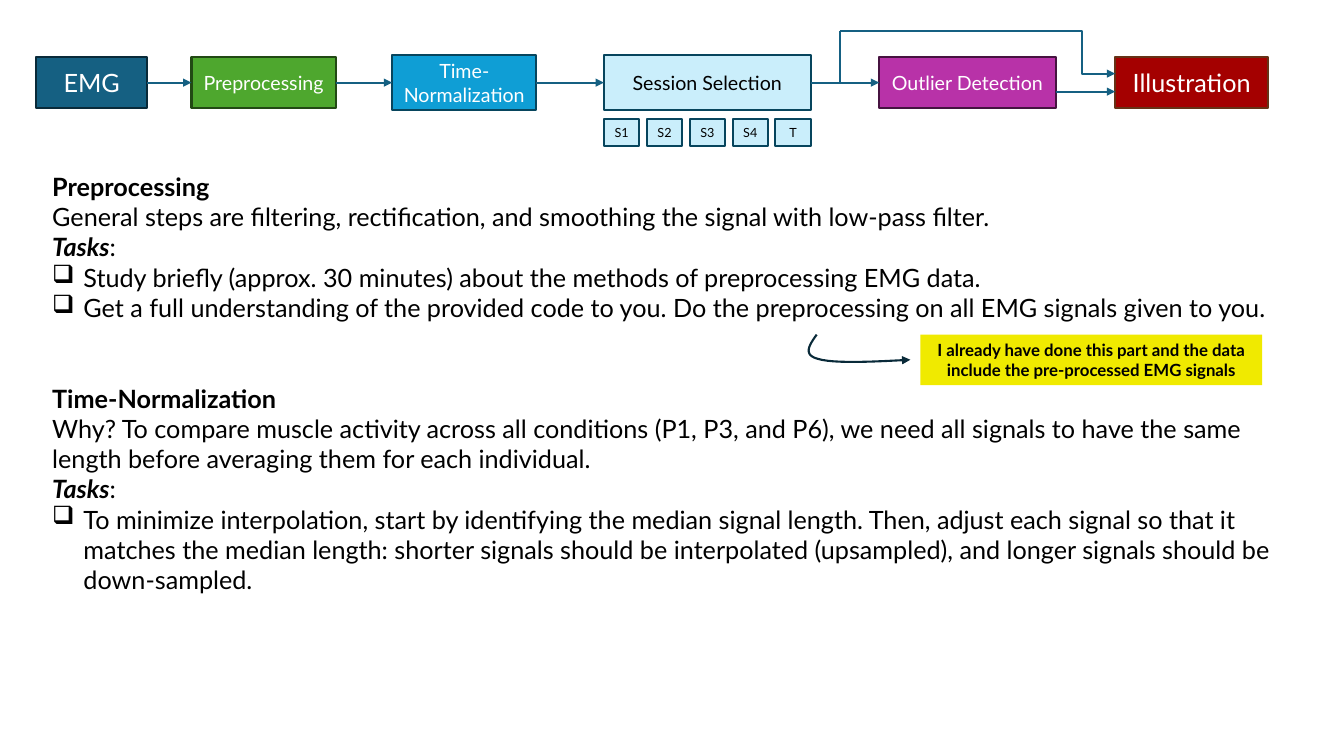
from itertools import pairwise

from lxml.etree import SubElement
from pptx import Presentation
from pptx.dml.color import RGBColor
from pptx.enum.shapes import MSO_CONNECTOR as Connector, MSO_SHAPE as Shape
from pptx.enum.text import MSO_ANCHOR as Anchor, PP_ALIGN as Align
from pptx.oxml.ns import qn
from pptx.util import Inches, Pt

WIDTH, HEIGHT = Inches(13.33), Inches(7.5)
FONT = "Lato"
BLUE, NAVY, PALE = "156082", "07455D", "CAEEFB"
FLOW_MIDDLE = 10.93
SESSION_LEFT, SESSION_PITCH = 44.94, 3.19
STAGES = [
    ("EMG", 2.7, 8.25, 6.67, 18, BLUE, "092A39", "FFFFFF"),
    ("Preprocessing", 14.25, 10.73, 6.67, 14, "4EA72E", "224914", "FFFFFF"),
    ("Time-Normalization", 29.18, 10.73, 7.2, 14, "0F9ED5", NAVY, "FFFFFF"),
    ("Session Selection", SESSION_LEFT, 15.38, 7.2, 14, PALE, NAVY, "000000"),
    ("Outlier Detection", 65.42, 13.13, 6.67, 14, "B832A8", "461340", "FFFFFF"),
    ("Illustration", 82.97, 11.4, 6.67, 18, "A40000", "663216", "FFFFFF"),
]
PREPROCESSING = (
    "General steps are filtering, rectification, and smoothing the signal with low-pass filter.",
    [
        "Study briefly (approx. 30 minutes) about the methods of preprocessing EMG data.",
        "Get a full understanding of the provided code to you. Do the preprocessing on all "
        "EMG signals given to you.",
    ],
)
NORMALIZATION = (
    "Why? To compare muscle activity across all conditions (P1, P3, and P6), we need all signals "
    "to have the same length before averaging them for each individual.",
    [
        "To minimize interpolation, start by identifying the median signal length. Then, adjust "
        "each signal so that it matches the median length: shorter signals should be interpolated "
        "(upsampled), and longer signals should be down-sampled.",
    ],
)
NOTE = "I already have done this part and the data include the pre-processed EMG signals"
CURVES = [
    [(60.77, 44.27), (60.24, 45.6), (59.71, 46.93), (60.84, 47.47)],
    [(60.84, 47.47), (62.04, 48.13), (64.89, 47.87), (67.74, 47.6)],
]


def color(value):
    return RGBColor.from_string(value)


def across(share):
    return round(WIDTH * share / 100)


def down(share):
    return round(HEIGHT * share / 100)


def frame(left, top, width, height):
    return across(left), down(top), across(width), down(height)


def write(paragraph, text, size=18, ink="000000", bold=False, italic=False, align=None):
    run = paragraph.add_run()
    run.text = text
    run.font.name = FONT
    run.font.size = Pt(size)
    run.font.bold = bold
    run.font.italic = italic
    run.font.color.rgb = color(ink)
    if align is not None:
        paragraph.alignment = align


def add_box(slide, text, place, fill, line=None, anchor=Anchor.MIDDLE, **style):
    shape = slide.shapes.add_shape(Shape.RECTANGLE, *frame(*place))
    shape.shadow.inherit = False
    shape.fill.solid()
    shape.fill.fore_color.rgb = color(fill)
    if line:
        shape.line.color.rgb = color(line)
        shape.line.width = Pt(1.5)
    else:
        shape.line.fill.background()
    shape.text_frame.word_wrap = True
    shape.text_frame.vertical_anchor = anchor
    write(shape.text_frame.paragraphs[0], text, align=Align.CENTER, **style)
    return shape


def style_line(shape, ink, arrow=True):
    shape.line.color.rgb = color(ink)
    shape.line.width = Pt(1.5)
    properties = shape._element.spPr
    if arrow:
        SubElement(properties.find(qn("a:ln")), qn("a:tailEnd"), type="triangle")
    if properties.find(qn("a:effectLst")) is None:
        SubElement(properties, qn("a:effectLst"))


def add_line(slide, start, end, arrow=True, kind=Connector.STRAIGHT):
    connector = slide.shapes.add_connector(
        kind, across(start[0]), down(start[1]), across(end[0]), down(end[1])
    )
    style_line(connector, BLUE, arrow)
    return connector


def join(slide, source, target):
    connector = add_line(slide, (0, 0), (1, 1))
    connector.begin_connect(source, 3)
    connector.end_connect(target, 1)


def add_bypass(slide, start, end, bend):
    connector = add_line(slide, start, end, kind=Connector.ELBOW)
    geometry = connector._element.spPr.find(qn("a:prstGeom"))
    adjustments = geometry.find(qn("a:avLst"))
    if adjustments is None:
        adjustments = SubElement(geometry, qn("a:avLst"))
    SubElement(adjustments, qn("a:gd"), name="adj1", fmla=f"val {bend * 1000}")


def add_section(slide, place, heading, summary, tasks):
    text_frame = slide.shapes.add_textbox(*frame(*place)).text_frame
    text_frame.word_wrap = True
    write(text_frame.paragraphs[0], heading, bold=True)
    write(text_frame.add_paragraph(), summary)
    label = text_frame.add_paragraph()
    write(label, "Tasks", bold=True, italic=True)
    write(label, ":")
    for task in tasks:
        paragraph = text_frame.add_paragraph()
        write(paragraph, task)
        properties = paragraph._p.get_or_add_pPr()
        indent = Inches(0.31)
        properties.set("marL", str(indent))
        properties.set("indent", str(-indent))
        SubElement(properties, qn("a:buChar"), char="❑")


def curve_point(points, t):
    weights = ((1 - t) ** 3, 3 * t * (1 - t) ** 2, 3 * t**2 * (1 - t), t**3)
    x, y = (sum(w * p[axis] for w, p in zip(weights, points)) for axis in (0, 1))
    return across(x), down(y)


def add_curved_arrow(slide, curves, steps=12):
    points = [curve_point(curve, step / steps) for curve in curves for step in range(1, steps + 1)]
    builder = slide.shapes.build_freeform(*curve_point(curves[0], 0))
    builder.add_line_segments(points, close=False)
    arrow = builder.convert_to_shape()
    arrow.shadow.inherit = False
    arrow.fill.background()
    style_line(arrow, "092A39")


def add_flow(slide):
    stages = [
        add_box(slide, text, (left, FLOW_MIDDLE - height / 2, width, height), fill, line,
                size=size, ink=ink)
        for text, left, width, height, size, fill, line, ink in STAGES
    ]
    for source, target in pairwise(stages[:-1]):
        join(slide, source, target)
    add_line(slide, (78.55, 12.13), (82.97, 12.13))
    add_bypass(slide, (62.5, 4.13), (82.97, 9.73), bend=88)
    add_line(slide, (62.5, 4.13), (62.5, FLOW_MIDDLE), arrow=False)
    for index, session in enumerate(["S1", "S2", "S3", "S4", "T"]):
        left = SESSION_LEFT + index * SESSION_PITCH
        add_box(slide, session, (left, 15.73, 2.63, 3.6), PALE, NAVY, size=9)


def main():
    presentation = Presentation()
    presentation.slide_width, presentation.slide_height = WIDTH, HEIGHT
    slide = presentation.slides.add_slide(presentation.slide_layouts[6])
    add_section(slide, (3.15, 22, 93.92, 21.6), "Preprocessing", *PREPROCESSING)
    add_section(slide, (3.15, 50, 93.92, 29.6), "Time-Normalization", *NORMALIZATION)
    add_flow(slide)
    add_box(slide, NOTE, (68.49, 44.27, 25.43, 6.67), "F0EA00", anchor=Anchor.TOP,
            size=12, bold=True)
    add_curved_arrow(slide, CURVES)
    presentation.save("out.pptx")


if __name__ == "__main__":
    main()
